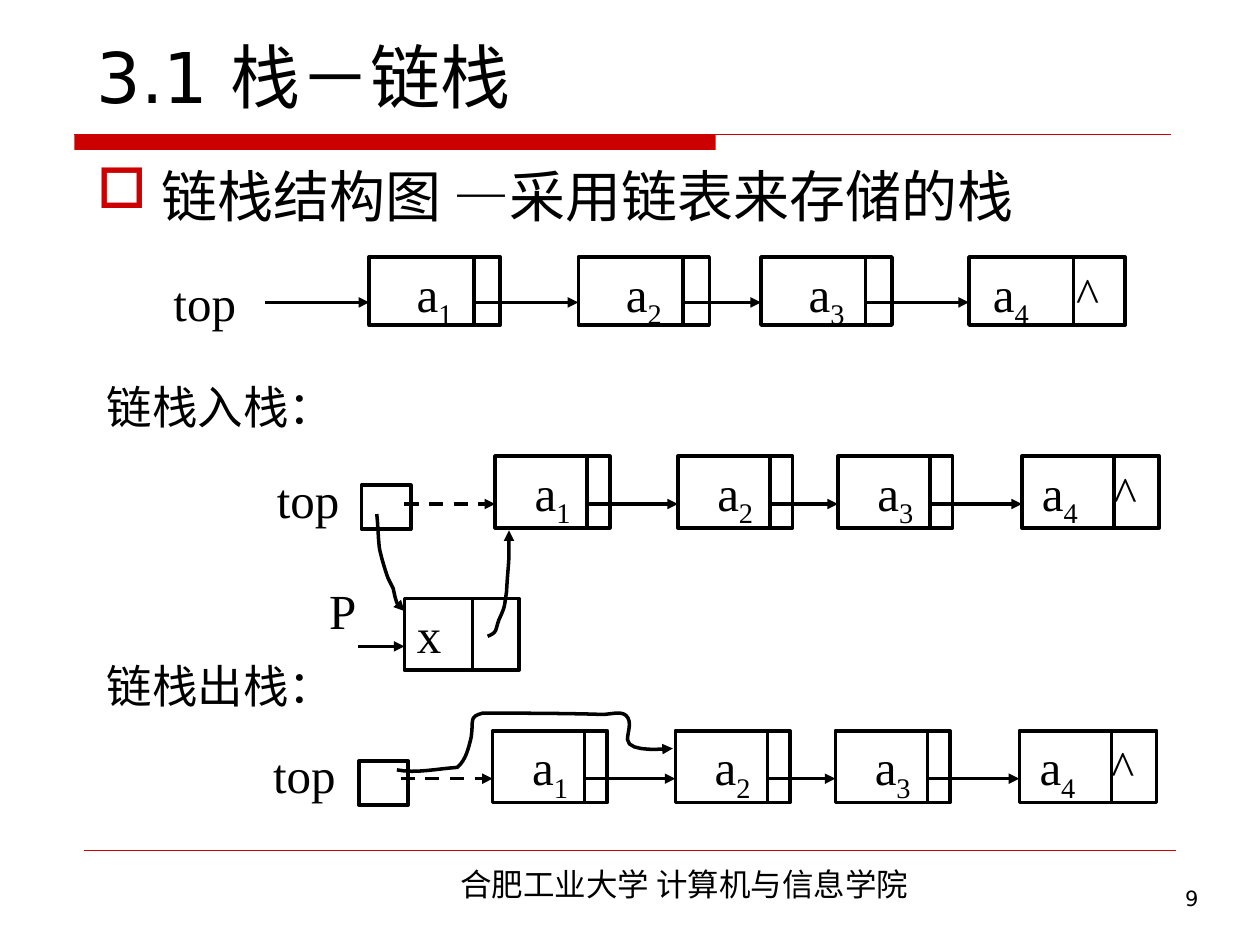
from lxml.etree import SubElement
from pptx import Presentation
from pptx.dml.color import RGBColor
from pptx.enum.dml import MSO_LINE
from pptx.enum.shapes import MSO_CONNECTOR, MSO_SHAPE
from pptx.enum.text import MSO_ANCHOR, PP_ALIGN
from pptx.oxml.ns import qn
from pptx.util import Inches, Pt

BLACK = RGBColor(0x00, 0x00, 0x00)
RED = RGBColor(0xCC, 0x00, 0x00)
SERIF, SANS, CHINESE = "Times New Roman", "DejaVu Sans", "Noto Sans CJK SC"
LEFT, CENTER, RIGHT = PP_ALIGN.LEFT, PP_ALIGN.CENTER, PP_ALIGN.RIGHT

# text, (left, top, width, height), size, font, alignment, wrap
TEXTS = [
    ("合肥工业大学 计算机与信息学院", (2.4, 6.82, 6.06, 0.4), 18, CHINESE, CENTER, True),
    ("9", (7.44, 6.98, 2.17, 0.52), 12, SANS, RIGHT, True),
    ("链栈入栈：", (0.75, 2.96, 2.12, 0.82), 26, SERIF, LEFT, True),
    ("链栈出栈：", (0.75, 5.17, 2.36, 0.82), 26, SERIF, LEFT, True),
    ("top", (1.14, 2.11, 0.97, 0.54), 28, SERIF, CENTER, False),
    ("top", (2.09, 3.68, 0.71, 0.57), 28, SERIF, CENTER, False),
    ("top", (2.06, 5.86, 0.71, 0.57), 28, SERIF, CENTER, False),
    ("P", (2.48, 4.56, 0.48, 0.47), 28, SERIF, CENTER, False),
]
TITLE = "3.1 栈－链栈"
HEADING = "链栈结构图 —采用链表来存储的栈"

# widths: ordinary node, last node, data cell; last_text: inset and tab of "a4 ^"
WIDE = dict(steps=(0, 1.66, 3.11, 4.76), widths=(1.04, 1.24, 0.83), height=0.54,
            arrow_drop=0.36, last_text=(0.19, 0.66), dashed=False)
NARROW = dict(steps=(0, 1.45, 2.72, 4.18), widths=(0.91, 1.09, 0.73), height=0.57,
              arrow_drop=0.38, last_text=(0.16, 0.57), dashed=True)
# left of first node, top, start of the arrow from top, style
LISTS = [
    (2.93, 2.04, 2.1, WIDE),
    (3.93, 3.62, 3.21, NARROW),
    (3.91, 5.8, 3.18, NARROW),
]
TOP_POINTERS = [(2.87, 3.85), (2.85, 6.04)]

# start point, then cubic segments (two control points and an end point)
CURVES = [
    ((2.99, 4.08), [
        ((3, 4.17), (3, 4.25), (3.01, 4.34)),
        ((3.01, 4.37), (3.07, 4.58), (3.09, 4.61)),
        ((3.1, 4.63), (3.11, 4.65), (3.12, 4.67)),
        ((3.14, 4.75), (3.14, 4.81), (3.21, 4.85))]),
    ((3.87, 5.05), [
        ((3.95, 5.02), (3.93, 5), (3.96, 4.92)),
        ((4.01, 4.81), (4, 4.83), (4.02, 4.7)),
        ((4.04, 4.38), (4.04, 4.54), (4.04, 4.21))]),
    ((3.15, 6.11), [
        ((3.3, 6.14), (3.48, 6.1), (3.63, 6.09)),
        ((3.7, 6.03), (3.72, 5.93), (3.74, 5.85)),
        ((3.76, 5.71), (3.72, 5.69), (3.83, 5.66)),
        ((4.15, 5.66), (4.46, 5.66), (4.78, 5.67)),
        ((4.85, 5.67), (4.93, 5.64), (4.97, 5.68)),
        ((5.02, 5.73), (4.98, 5.81), (4.98, 5.87)),
        ((4.99, 5.98), (5.3, 5.94), (5.34, 5.94))]),
]
CURVE_STEPS = 8

deck = Presentation()
deck.slide_width, deck.slide_height = Inches(10), Inches(7.5)
page = deck.slides.add_slide(deck.slide_layouts[6])


def set_font(para, size, name):
    font = para.font
    font.size, font.name = Pt(size), name
    font.color.rgb = BLACK
    SubElement(font._element, qn("a:ea"), typeface=CHINESE)


def add_text(text, place, size, name, align=LEFT, wrap=True):
    box = page.shapes.add_textbox(*map(Inches, place))
    box.text_frame.word_wrap = wrap
    para = box.text_frame.paragraphs[0]
    para.text, para.alignment = text, align
    set_font(para, size, name)
    return box


def style_line(line, color=BLACK, width=2, arrow=False):
    line.color.rgb, line.width = color, Pt(width)
    if arrow:
        SubElement(line._get_or_add_ln(), qn("a:tailEnd"), type="triangle")


def add_line(x1, y1, x2, y2, color=BLACK, width=2, arrow=False, dashed=False):
    line = page.shapes.add_connector(
        MSO_CONNECTOR.STRAIGHT, *map(Inches, (x1, y1, x2, y2)))
    if dashed:
        line.line.dash_style = MSO_LINE.DASH
    style_line(line.line, color, width, arrow)
    SubElement(line._element.spPr, qn("a:effectLst"))


def add_rect(x, y, width, height):
    box = page.shapes.add_shape(
        MSO_SHAPE.RECTANGLE, *map(Inches, (x, y, width, height)))
    box.shadow.inherit = False
    box.fill.background()
    style_line(box.line)
    return box


def add_node(x, y, width, height, split, letter, index="", align=CENTER):
    """Draw a list node with its data cell and divider; return its paragraph."""
    box = add_rect(x, y, width, height)
    box.text_frame.vertical_anchor = MSO_ANCHOR.TOP
    para = box.text_frame.paragraphs[0]
    para.alignment = align
    para.add_run().text = letter
    if index:
        span = para.add_run()
        span.text = index
        span.font._element.set("baseline", "-25000")
    add_line(x + split, y, x + split, y + height)
    return box, para


def add_list(left, top, arrow_start, style):
    node_width, last_width, split = style["widths"]
    arrow_y = top + style["arrow_drop"]
    last = len(style["steps"])
    for number, step in enumerate(style["steps"], 1):
        x = left + step
        is_last = number == last
        box, para = add_node(x, top, last_width if is_last else node_width,
                             style["height"], split, "a", str(number),
                             LEFT if is_last else CENTER)
        if is_last:
            inset, tab = style["last_text"]
            box.text_frame.margin_left = Inches(inset)
            para.add_run().text = "\t^"
            tabs = SubElement(para._p.get_or_add_pPr(), qn("a:tabLst"))
            SubElement(tabs, qn("a:tab"), pos=str(Inches(tab)), algn="l")
        set_font(para, 28, SERIF)
        add_line(arrow_start, arrow_y, x, arrow_y, arrow=True,
                 dashed=style["dashed"] and number == 1)
        arrow_start = x + split


def add_curve(start, segments):
    points, first = [], start
    for control1, control2, end in segments:
        for step in range(1, CURVE_STEPS + 1):
            t = step / CURVE_STEPS
            points.append(tuple(
                Inches((1 - t) ** 3 * a + 3 * (1 - t) ** 2 * t * b
                       + 3 * (1 - t) * t ** 2 * c + t ** 3 * d)
                for a, b, c, d in zip(first, control1, control2, end)))
        first = end
    builder = page.shapes.build_freeform(*map(Inches, start))
    builder.add_line_segments(points, close=False)
    curve = builder.convert_to_shape()
    curve.shadow.inherit = False
    curve.fill.background()
    style_line(curve.line, arrow=True)


# Title rule and footer rule
bar = add_rect(0.59, 1.07, 5.09, 0.12)
bar.fill.solid()
bar.fill.fore_color.rgb = RED
bar.line.fill.background()
add_line(0.59, 1.07, 9.29, 1.07, RED, 0.75)
add_line(0.67, 6.75, 9.33, 6.75, RED, 0.25)

title = add_text(TITLE, (0.67, -0.35, 8.75, 1.33), 40, SANS)
title.text_frame.vertical_anchor = MSO_ANCHOR.BOTTOM

heading = add_text(HEADING, (0.67, 1.23, 8.74, 5.51), 32, SERIF)
props = heading.text_frame.paragraphs[0]._p.get_or_add_pPr()
props.set("marL", str(Inches(0.51)))
props.set("indent", str(-Inches(0.51)))
bullet_color = SubElement(props, qn("a:buClr"))
SubElement(bullet_color, qn("a:srgbClr"), val=str(RED))
bullet = SubElement(props, qn("a:buChar"), char="□")
props.remove(props.find(qn("a:defRPr")))
set_font(heading.text_frame.paragraphs[0], 32, SERIF)

for text in TEXTS:
    add_text(*text)
for chain in LISTS:
    add_list(*chain)
for x, y in TOP_POINTERS:
    add_rect(x, y, 0.39, 0.35)

_, new_node = add_node(3.21, 4.75, 0.91, 0.57, 0.54, "x", align=LEFT)
set_font(new_node, 28, SERIF)
add_line(2.84, 5.13, 3.21, 5.13, arrow=True)
for curve in CURVES:
    add_curve(*curve)

deck.save("out.pptx")
